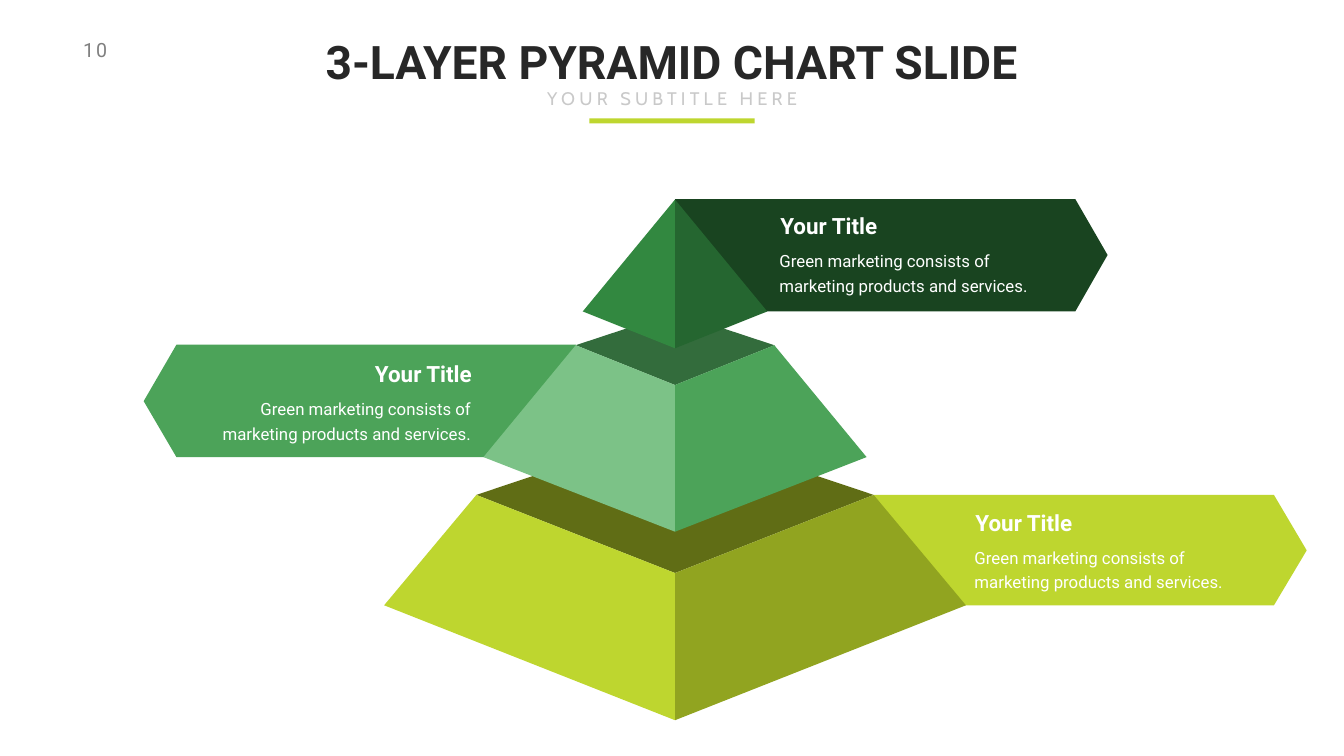
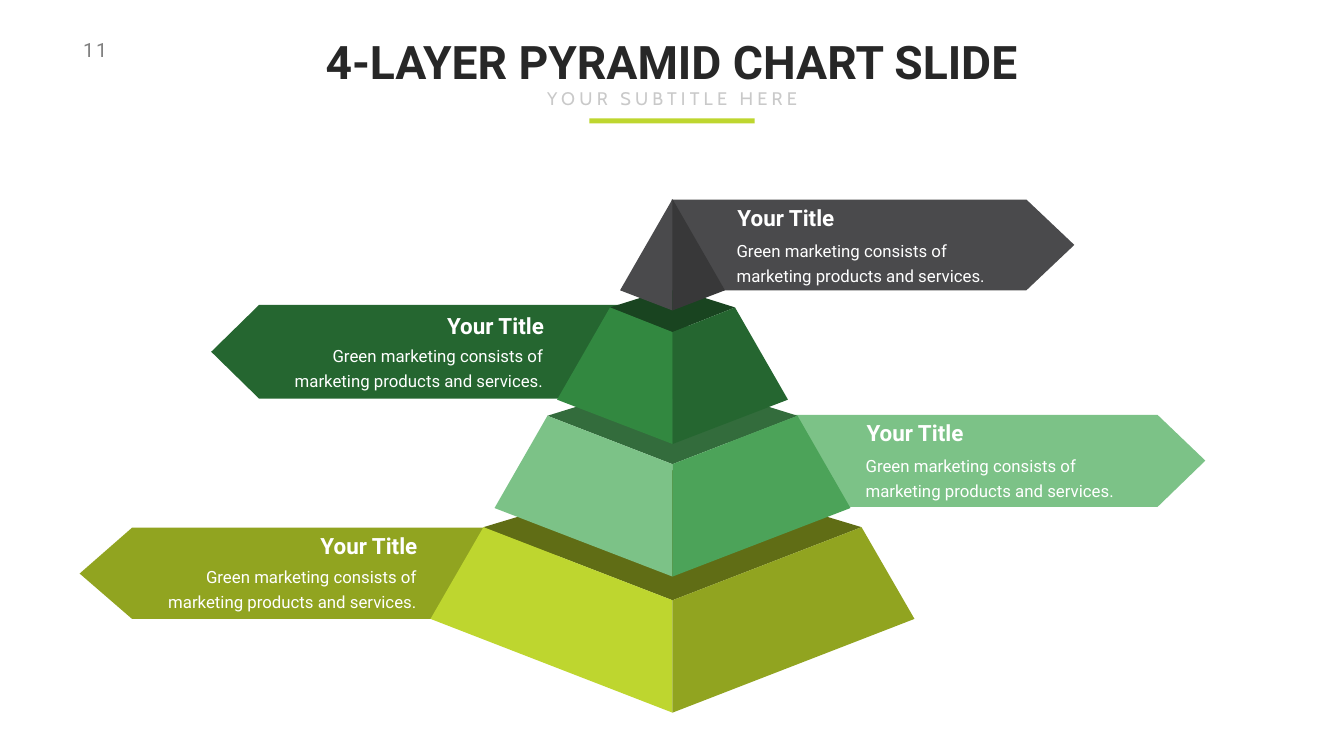
from pptx import Presentation
from pptx import util as u
from pptx.dml import color
from pptx.enum import shapes, text

PX = 9144
rgb = color.RGBColor.from_string
LIME, OLIVE, MOSS = "BED62F", "91A420", "606D15"
MINT, GREEN, PINE = "7CC287", "4CA359", "336C3C"
LEAF, FOREST, DEEP = "328840", "256630", "194420"
SLATE, COAL, WHITE = "4A4A4C", "383839", "FFFFFF"
LEFT, CENTER, RIGHT = text.PP_ALIGN.LEFT, text.PP_ALIGN.CENTER, text.PP_ALIGN.RIGHT
TOP, MIDDLE = text.MSO_ANCHOR.TOP, text.MSO_ANCHOR.MIDDLE

prs = Presentation()
prs.slide_width, prs.slide_height = 2666 * PX, 1500 * PX


def write(s, txt, box, size, fill=WHITE, sp=None, font="Roboto", bold=False, align=LEFT,
          anchor=TOP, spc=0, wrap=False, inset=(10, 5), line=None):
    box = [v * PX for v in box]
    sp = sp or s.shapes.add_textbox(*box)
    sp.left, sp.top, sp.width, sp.height = box
    tf = sp.text_frame
    tf.word_wrap = wrap
    tf.auto_size = text.MSO_AUTO_SIZE.SHAPE_TO_FIT_TEXT
    tf.vertical_anchor = anchor
    tf.margin_left = tf.margin_right = inset[0] * PX
    tf.margin_top = tf.margin_bottom = inset[1] * PX
    p = tf.paragraphs[0]
    p.alignment = align
    if line:
        p.line_spacing = u.Pt(line)
    r = p.add_run()
    r.text = txt
    r.font.name, r.font.size, r.font.bold = font, u.Pt(size), bold
    r.font.color.rgb = rgb(fill)
    if spc:
        r._r.get_or_add_rPr().set("spc", str(spc * 100))


def polygon(s, points, fill):
    fb = s.shapes.build_freeform(*points[0], scale=PX)
    fb.add_line_segments(points[1:], close=True)
    sp = fb.convert_to_shape()
    sp.shadow.inherit = False
    sp.fill.solid()
    sp.fill.fore_color.rgb = rgb(fill)
    sp.line.fill.background()


# tier: half widths at top and base; y of back, shoulder, front, base, foot; cap, left, right fills
# banner: inner x, shoulder x, tip x, top, bottom, fill
# label: heading x, heading y, gap down to the body
slides = [
    ("10", "3-LAYER PYRAMID CHART SLIDE", 1339, [
        ((394, 577, 850, 982, 1137, 1201, 1429, MOSS, LIME, OLIVE),
         (1734, 2527, 2592, 982, 1201, LIME), (1925, 1005, 61)),
        ((197, 380, 620, 685, 764, 907, 1055, PINE, MINT, GREEN),
         (1143, 350, 285, 684, 907, GREEN), (701, 710, 61)),
        ((0, 183, 396, 396, 396, 618, 691, None, LEAF, FOREST),
         (1339, 2133, 2197, 395, 618, DEEP), (1538, 415, 62)),
    ]),
    ("11", "4-LAYER PYRAMID CHART SLIDE", 1334, [
        ((375, 480, 933, 1046, 1191, 1228, 1414, MOSS, LIME, OLIVE),
         (1104, 262, 158, 1047, 1228, OLIVE), (593, 1051, 53)),
        ((248, 353, 748, 825, 921, 1008, 1144, PINE, MINT, GREEN),
         (1445, 2296, 2391, 823, 1006, MINT), (1709, 827, 57)),
        ((124, 229, 571, 610, 659, 793, 881, DEEP, LEAF, FOREST),
         (1365, 514, 419, 605, 791, FOREST), (844, 613, 53)),
        ((0, 104, 395, 395, 395, 576, 616, None, SLATE, COAL),
         (1332, 2036, 2131, 396, 576, SLATE), (1453, 400, 57)),
    ]),
]

for number, title, cx, layers in slides:
    s = prs.slides.add_slide(prs.slide_layouts[5])
    write(s, number, (155, 71, 84, 57), 28, "808080", spc=3)
    write(s, title, (535, 61, 1595, 121), 66, "272727", sp=s.shapes.title, bold=True, align=CENTER)
    sp = s.shapes.add_shape(shapes.MSO_SHAPE.RECTANGLE, 1169 * PX, 235 * PX, 328 * PX, 10 * PX)
    sp.shadow.inherit = False
    sp.fill.solid()
    sp.fill.fore_color.rgb = rgb(LIME)
    sp.line.fill.background()
    write(s, "YOUR SUBTITLE HERE", (1041, 169, 585, 54), 26, "C9C9C9", font="Cabin",
          align=CENTER, spc=6)

    for tier, banner, label in layers:
        inner, shoulder_x, tip, top, bottom, fill = banner
        polygon(s, [(inner, top), (shoulder_x, top), (tip, (top + bottom) / 2),
                    (shoulder_x, bottom), (inner, bottom)], fill)

        half_top, half_base, back, shoulder, front, base, foot, cap, *sides = tier
        if cap:
            polygon(s, [(cx - half_top, shoulder), (cx, back), (cx + half_top, shoulder),
                        (cx, front)], cap)
        for sign, fill in zip((-1, 1), sides):
            polygon(s, [(cx, front), (cx + sign * half_top, shoulder),
                        (cx + sign * half_base, base), (cx, foot)], fill)

        x, y, gap = label
        align, shift = (RIGHT, -344) if tip < inner else (LEFT, -16)
        write(s, "Green marketing consists of marketing products and services.",
              (x + shift, y + gap, 601, 118), 24, align=align, wrap=True, inset=(24, 12), line=35)
        write(s, "Your Title", (x, y, 245, 64), 32, bold=True, align=align, anchor=MIDDLE)

prs.save("out.pptx")
